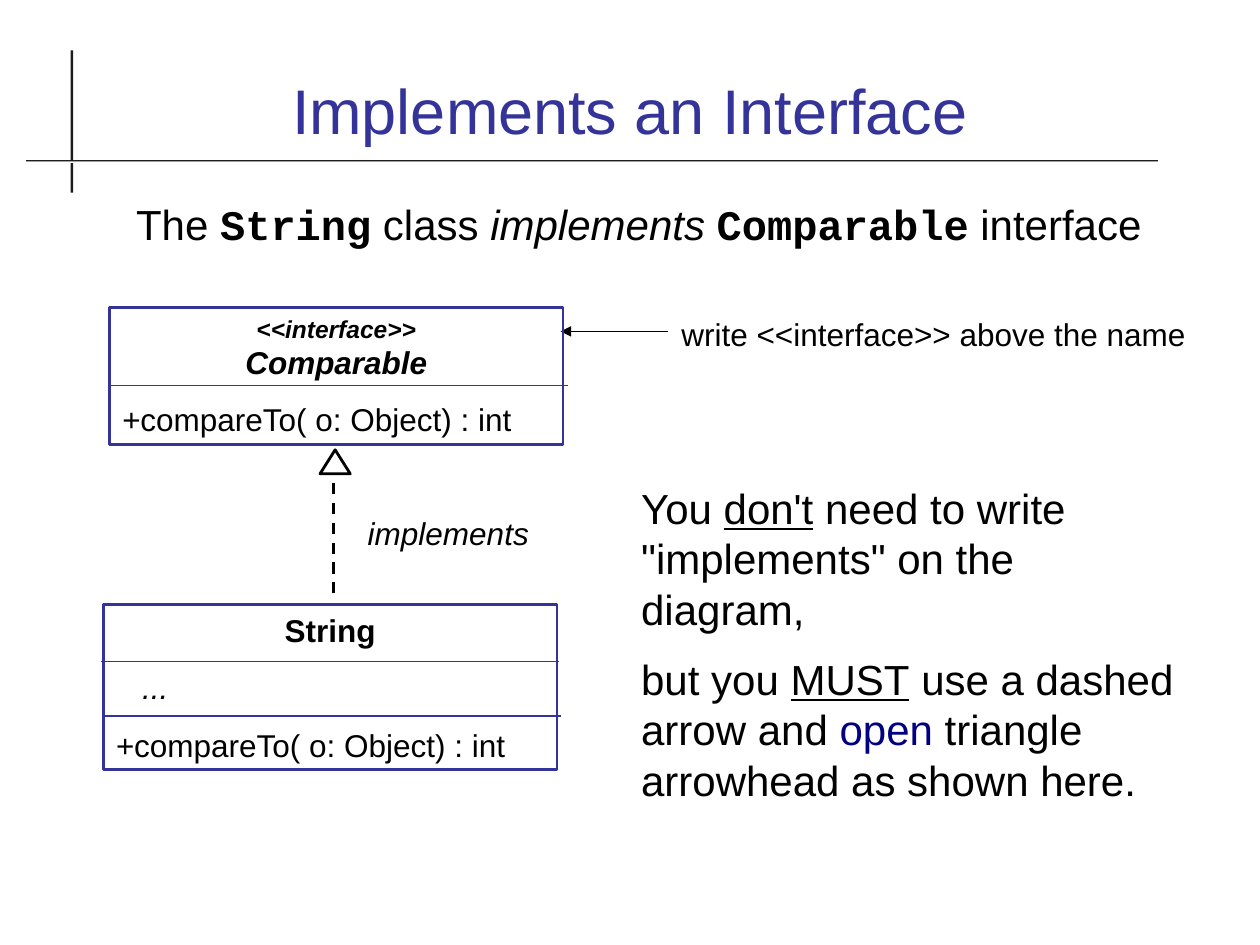
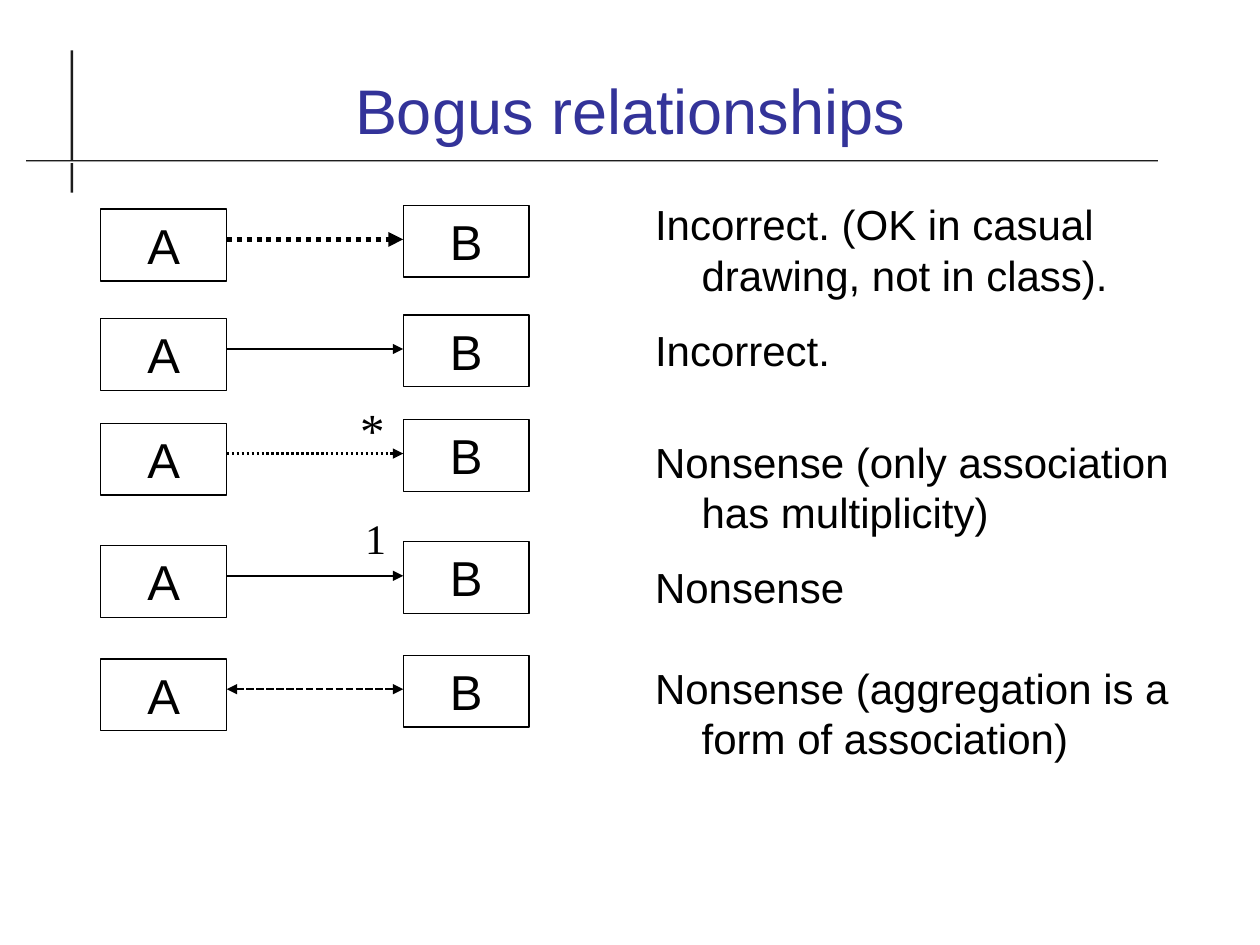
import pptx
import pptx.util
import pptx.dml.color
import pptx.enum.dml
import pptx.enum.shapes
import pptx.enum.text
from lxml import etree

Inches = pptx.util.Inches
Pt = pptx.util.Pt
ALIGN = pptx.enum.text.PP_ALIGN
ANCHOR = pptx.enum.text.MSO_ANCHOR
DASH = pptx.enum.dml.MSO_LINE
RECTANGLE = pptx.enum.shapes.MSO_SHAPE.RECTANGLE

BLACK, BLUE, NAVY, DARK, WHITE = "000000", "333399", "000080", "1C1C1C", "FFFFFF"
SANS, SERIF, MONO = "Arial", "Times New Roman", "Courier New"


def color(value):
    return pptx.dml.color.RGBColor.from_string(value)


class SlideBuilder:
    """Holds the deck's style and the slide being filled."""

    def __init__(self):
        self.deck = pptx.Presentation()
        self.deck.slide_width = Inches(10)
        self.deck.slide_height = Inches(7.5)
        self.page = None

    def new_page(self, title):
        self.page = self.deck.slides.add_slide(self.deck.slide_layouts[6])
        # Crossed rules behind the title
        self.rectangle(0.56, 0.4, 0.02, 1.13, fill=DARK)
        rule = self.rectangle(0.21, 1.27, 8.98, 0.02, fill=DARK)
        rule.fill.gradient()
        rule.fill.gradient_angle = 90
        for stop, shade in zip(rule.fill.gradient_stops, (WHITE, DARK)):
            stop.color.rgb = color(shade)
        self.text(0.67, 0.28, 8.66, 0.94, [title], size=36, ink=BLUE,
                  align=ALIGN.CENTER, anchor=ANCHOR.BOTTOM)

    def rectangle(self, left, top, width, height, fill=None, line=None, weight=0.75):
        shape = self.page.shapes.add_shape(
            RECTANGLE, Inches(left), Inches(top), Inches(width), Inches(height))
        shape.shadow.inherit = False
        if fill:
            shape.fill.solid()
            shape.fill.fore_color.rgb = color(fill)
        else:
            shape.fill.background()
        if line:
            shape.line.color.rgb = color(line)
            shape.line.width = Pt(weight)
        else:
            shape.line.fill.background()
        return shape

    def text(self, left, top, width, height, paragraphs, **style):
        box = self.page.shapes.add_textbox(
            Inches(left), Inches(top), Inches(width), Inches(height))
        self.put_text(box, paragraphs, **style)

    def put_text(self, box, paragraphs, size=24, ink=BLACK, font=SANS, align=ALIGN.LEFT,
                 anchor=ANCHOR.TOP, gaps=(), wrap=True, hanging=0):
        """A paragraph is a string or a list of strings and (string, changes) pairs."""
        frame = box.text_frame
        frame.word_wrap = wrap
        frame.vertical_anchor = anchor
        for index, spans in enumerate(paragraphs):
            para = frame.add_paragraph() if index else frame.paragraphs[0]
            para.alignment = align
            if index and gaps:
                para.space_before = Pt(gaps[index - 1])
            if hanging:
                self.indent(para, hanging, -hanging)
            for item in [spans] if isinstance(spans, str) else spans:
                words, changes = (item, {}) if isinstance(item, str) else item
                if words == "\n":
                    para.add_line_break()
                    continue
                span = para.add_run()
                span.text = words
                span.font.size = Pt(changes.get("size", size))
                span.font.name = changes.get("font", font)
                span.font.color.rgb = color(changes.get("ink", ink))
                span.font.bold = changes.get("bold")
                span.font.italic = changes.get("italic")
                span.font.underline = changes.get("underline")

    def indent(self, para, margin, first=0):
        properties = para._p.get_or_add_pPr()
        properties.set("marL", str(Inches(margin)))
        properties.set("indent", str(Inches(first)))

    def line(self, start, end, ink=BLACK, weight=0.75, dash=None, head=False, tail=False):
        connector = self.page.shapes.add_connector(
            pptx.enum.shapes.MSO_CONNECTOR.STRAIGHT, *map(Inches, start + end))
        connector.line.color.rgb = color(ink)
        connector.line.width = Pt(weight)
        if dash:
            connector.line.dash_style = dash
        outline = connector.line._get_or_add_ln()
        namespace = "{" + etree.QName(outline).namespace + "}"
        for name, wanted in (("headEnd", head), ("tailEnd", tail)):
            if wanted:
                etree.SubElement(outline, namespace + name, type="triangle")
        etree.SubElement(connector._element.spPr, namespace + "effectLst")

    def triangle(self, left, top, width, height, weight):
        builder = self.page.shapes.build_freeform(
            Inches(left), Inches(top + height))
        builder.add_line_segments(
            [(Inches(left + width), Inches(top + height)),
             (Inches(left + width / 2), Inches(top))], close=True)
        shape = builder.convert_to_shape()
        shape.shadow.inherit = False
        shape.fill.background()
        shape.line.color.rgb = color(BLACK)
        shape.line.width = Pt(weight)

    def class_box(self, left, top, height, heading, members, dividers):
        """UML class: centred heading, left-aligned members, dividing lines."""
        for start, level in dividers:
            self.line((start, level), (start + 3.64, level), ink=BLUE, weight=1)
        box = self.rectangle(left, top, 3.6, height, line=BLUE, weight=1.5)
        self.put_text(box, [heading] + members, size=18, gaps=[11.2] * len(members))
        box.text_frame.paragraphs[0].alignment = ALIGN.CENTER
        return box


def implements_page(builder):
    builder.new_page("Implements an Interface")
    code = {"font": MONO, "bold": True}
    italic = {"italic": True}
    strong = {"bold": True, "italic": True}
    underlined = {"underline": True}
    builder.text(0.74, 1.53, 8.66, 0.58, [[
        "The ", ("String", code), " class ", ("implements ", italic),
        ("Comparable", code), " interface"]], align=ALIGN.CENTER)

    # Realization arrow
    builder.line((2.65, 4.71), (2.65, 3.76), weight=1.62, dash=DASH.DASH)
    builder.triangle(2.54, 3.57, 0.24, 0.19, weight=1.62)
    builder.text(2.82, 4.03, 1.48, 0.4, [[("implements", italic)]], size=18, wrap=False)

    # Advice
    builder.text(4.99, 3.78, 4.51, 2.66, [
        ["You ", ("don't", underlined), ' need to write "implements" on the diagram,'],
        ["but you ", ("MUST", underlined), " use a dashed arrow and ",
         ("open", {"ink": NAVY}), " triangle arrowhead as shown here."],
    ], gaps=[11.2])
    builder.line((5.3, 2.63), (4.45, 2.63), tail=True)
    builder.text(5.31, 2.45, 4.34, 0.4, ["write <<interface>> above the name"], size=18)

    # Interface and implementing class
    method = "compareTo( o: Object) : int"
    builder.class_box(
        0.87, 2.44, 1.09,
        [("<<interface>>", {**strong, "size": 14}), "\n", ("Comparable", strong)],
        [[("+", italic), method]], [(0.87, 3.06)])
    string_box = builder.class_box(
        0.82, 4.8, 1.31, [("String", {"bold": True})],
        [[("...", italic)], [("+", italic), method]], [(0.8, 5.25), (0.81, 5.68)])
    builder.indent(string_box.text_frame.paragraphs[1], 0.21)


def bogus_page(builder):
    builder.new_page("Bogus relationships")
    builder.text(5.1, 1.53, 4.28, 4.87, [
        "Incorrect. (OK in casual drawing, not in class).",
        "Incorrect.",
        "Nonsense (only association has multiplicity)",
        "Nonsense",
        "Nonsense (aggregation is a form of association)",
    ], gaps=[14.2, 35, 14.2, 28.4], hanging=0.37)

    # Pairs of classes: top of A, then the arrow between A and B
    relations = [
        (1.66, {"weight": 2.83, "dash": DASH.ROUND_DOT}),
        (2.53, {"weight": 1.42}),
        (3.36, {"weight": 1.42, "dash": DASH.ROUND_DOT}),
        (4.33, {"weight": 1.42}),
        (5.23, {"weight": 1.42, "dash": DASH.SQUARE_DOT, "head": True}),
    ]
    for top, arrow in relations:
        for name, left, rise in (("A", 0.8, 0), ("B", 3.2, 0.03)):
            box = builder.rectangle(left, top - rise, 1, 0.57, line=BLACK)
            builder.put_text(box, [name], size=28, align=ALIGN.CENTER)
        builder.line((1.8, top + 0.24), (3.2, top + 0.24), tail=True, **arrow)

    # Multiplicities
    builder.text(2.76, 3.12, 0.4, 0.57, ["*"], size=28, font=SERIF)
    builder.text(2.8, 4.02, 0.4, 0.5, ["1"], font=SERIF)


def main():
    builder = SlideBuilder()
    implements_page(builder)
    bogus_page(builder)
    builder.deck.save("out.pptx")


if __name__ == "__main__":
    main()
